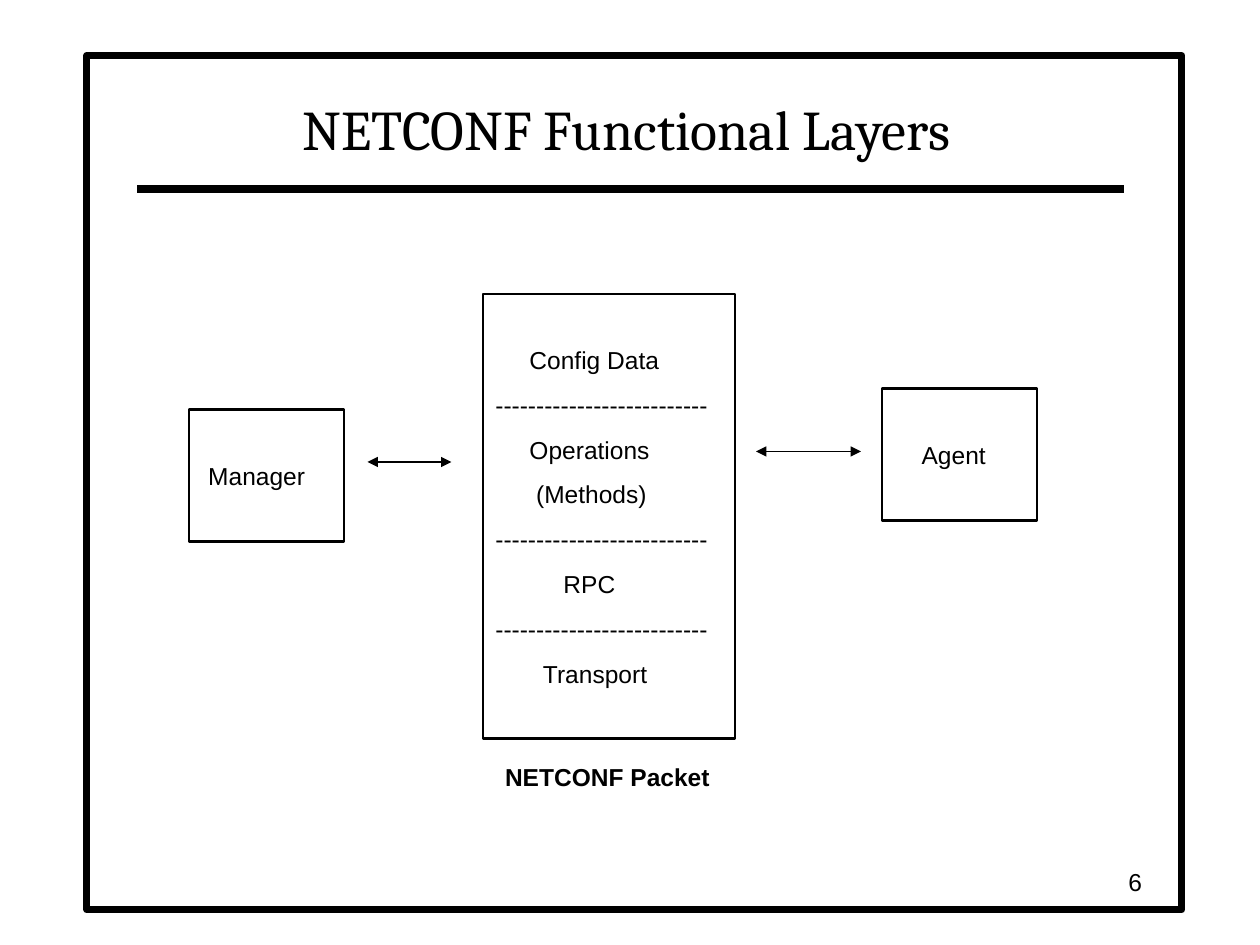
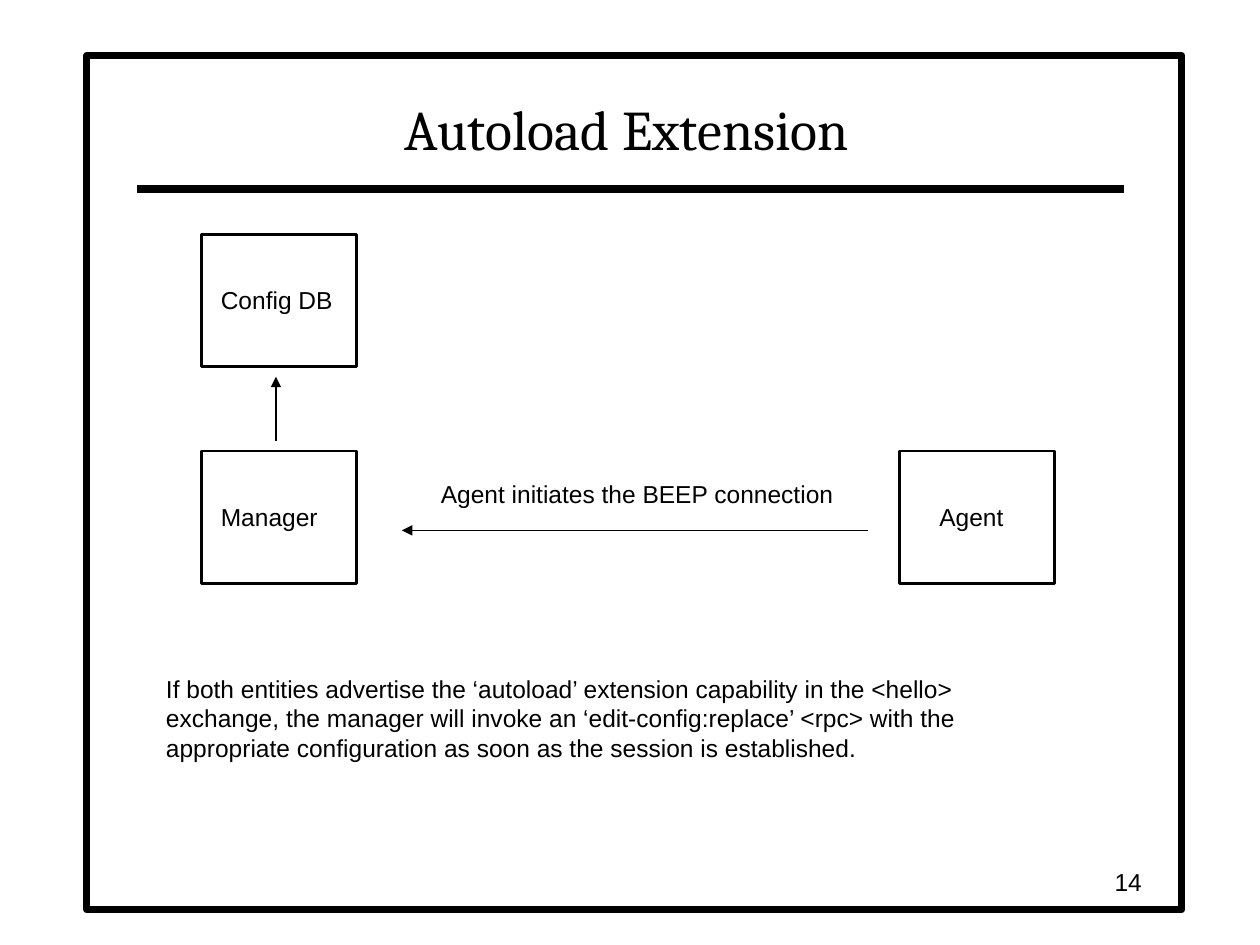
"""Build two slides on NETCONF layers and the autoload extension."""
from dataclasses import dataclass

from lxml import etree
from pptx import Presentation
from pptx.dml.color import RGBColor
from pptx.enum.shapes import MSO_CONNECTOR, MSO_SHAPE
from pptx.enum.text import MSO_ANCHOR, MSO_AUTO_SIZE, PP_ALIGN
from pptx.oxml.ns import qn
from pptx.util import Pt

STRAIGHT = MSO_CONNECTOR.STRAIGHT
RECTANGLE = MSO_SHAPE.RECTANGLE
TOP, MIDDLE, BOTTOM = MSO_ANCHOR.TOP, MSO_ANCHOR.MIDDLE, MSO_ANCHOR.BOTTOM
LEFT, CENTER, RIGHT = PP_ALIGN.LEFT, PP_ALIGN.CENTER, PP_ALIGN.RIGHT
NO_RESIZE = MSO_AUTO_SIZE.NONE

COLORS = {"ink": "000000", "paper": "FFFFFF"}
TITLE_FONT, BODY_FONT = "Cambria", "Arial"
TITLE_SIZE, BODY_SIZE = 32, 14
INSET_X, INSET_Y = 7.2, 3.6
BOX_INSET_TOP = 29.2
PARA_GAP = 8.8
BOX_WIDTH, BOX_HEIGHT = 88.6, 75.6
DASHES = "-" * 26


@dataclass(frozen=True)
class Line:
    """A line of text with its left indent."""
    text: str
    indent: float = 0


@dataclass(frozen=True)
class Box:
    """An outlined rectangle holding lines of text."""
    left: float
    top: float
    lines: tuple[Line, ...]
    width: float = BOX_WIDTH
    height: float = BOX_HEIGHT


@dataclass(frozen=True)
class Arrow:
    """A straight line with a head at its start and perhaps at its end."""
    start: tuple[float, float]
    end: tuple[float, float]
    both: bool = False


@dataclass(frozen=True)
class Label:
    """A free text box."""
    text: str
    left: float
    top: float
    width: float
    height: float
    bold: bool = False
    wrap: bool = False
    align: PP_ALIGN = LEFT
    anchor: MSO_ANCHOR = TOP


@dataclass(frozen=True)
class Page:
    """The content of one slide."""
    title: str
    number: str
    items: tuple[Box | Arrow | Label, ...]


def color(name: str) -> RGBColor:
    """Return a named colour."""
    return RGBColor.from_string(COLORS[name])


def add_span(para, text: str, font: str = BODY_FONT, size: float = BODY_SIZE,
             bold: bool = False) -> None:
    """Add one formatted run to a paragraph."""
    span = para.add_run()
    span.text = text
    span.font.name = font
    span.font.size = Pt(size)
    span.font.bold = bold
    span.font.color.rgb = color("ink")


def set_frame(frame, anchor: MSO_ANCHOR, top: float = INSET_Y, wrap: bool = True) -> None:
    """Set the insets, anchor and wrapping of a text frame."""
    frame.auto_size = NO_RESIZE
    frame.word_wrap = wrap
    frame.vertical_anchor = anchor
    frame.margin_left = frame.margin_right = Pt(INSET_X)
    frame.margin_top, frame.margin_bottom = Pt(top), Pt(INSET_Y)


def add_rectangle(slide, left: float, top: float, width: float, height: float,
                  weight: float):
    """Add an unfilled black outline."""
    shape = slide.shapes.add_shape(RECTANGLE, Pt(left), Pt(top), Pt(width), Pt(height))
    shape.shadow.inherit = False
    shape.fill.background()
    shape.line.color.rgb = color("ink")
    shape.line.width = Pt(weight)
    return shape


def add_line(slide, start: tuple[float, float], end: tuple[float, float], weight: float):
    """Add a straight black connector without a shadow."""
    line = slide.shapes.add_connector(STRAIGHT, *map(Pt, start + end))
    line.line.color.rgb = color("ink")
    line.line.width = Pt(weight)
    etree.SubElement(line.element.spPr, qn("a:effectLst"))
    return line


def add_box(slide, box: Box) -> None:
    """Draw a box with its indented lines."""
    frame = add_rectangle(slide, box.left, box.top, box.width, box.height, 1.5).text_frame
    set_frame(frame, TOP, top=BOX_INSET_TOP)
    for index, line in enumerate(box.lines):
        para = frame.add_paragraph() if index else frame.paragraphs[0]
        para.alignment = LEFT
        if index:
            para.space_before = Pt(PARA_GAP)
        para._p.get_or_add_pPr().set("marL", str(Pt(line.indent)))
        add_span(para, line.text)


def add_arrow(slide, arrow: Arrow) -> None:
    """Draw an arrow with triangular heads."""
    outline = add_line(slide, arrow.start, arrow.end, 1).line._get_or_add_ln()
    for tag in ("a:headEnd", "a:tailEnd")[:2 if arrow.both else 1]:
        etree.SubElement(outline, qn(tag), type="triangle")


def add_label(slide, label: Label) -> None:
    """Draw a free text box."""
    box = slide.shapes.add_textbox(Pt(label.left), Pt(label.top),
                                   Pt(label.width), Pt(label.height))
    set_frame(box.text_frame, label.anchor, wrap=label.wrap)
    para = box.text_frame.paragraphs[0]
    para.alignment = label.align
    add_span(para, label.text, bold=label.bold)


def add_page(deck, page: Page) -> None:
    """Add a slide with the shared frame, title, rule and number."""
    slide = deck.slides.add_slide(deck.slide_layouts.get_by_name("Title Only"))
    title = slide.shapes.title
    border = add_rectangle(slide, 49.7, 31.7, 625.7, 488.2, 4)
    border.fill.solid()
    border.fill.fore_color.rgb = color("paper")
    rule = add_line(slide, (78.5, 108), (642.2, 108), 4.5)
    for backdrop in (border, rule):
        title.element.addprevious(backdrop.element)

    title.left, title.top, title.width, title.height = map(Pt, (77.8, 41.8, 560.9, 54))
    set_frame(title.text_frame, BOTTOM)
    para = title.text_frame.paragraphs[0]
    para.alignment = CENTER
    add_span(para, page.title, TITLE_FONT, TITLE_SIZE)

    draw = {Box: add_box, Arrow: add_arrow, Label: add_label}
    for item in page.items:
        draw[type(item)](slide, item)
    add_label(slide, Label(page.number, 509.8, 491.8, 149.8, 23.8,
                           wrap=True, align=RIGHT, anchor=MIDDLE))


MANAGER = (Line("Manager", 3.9),)
AGENT = (Line("Agent", 15.6),)
CONFIG_DB = (Line("Config DB", 3.9),)
PACKET = (
    Line("Config Data", 19.5),
    Line(DASHES),
    Line("Operations", 19.5),
    Line("(Methods)", 23.3),
    Line(DASHES),
    Line("RPC", 38.9),
    Line(DASHES),
    Line("Transport", 27.2),
)
AUTOLOAD_NOTE = (
    "If both entities advertise the ‘autoload’ extension capability in the <hello> "
    "exchange, the manager will invoke an ‘edit-config:replace’ <rpc> with the "
    "appropriate configuration as soon as the session is established."
)

PAGES = (
    Page("NETCONF Functional Layers", "6", (
        Box(108, 234, MANAGER),
        Box(504, 222, AGENT),
        Box(276, 168, PACKET, 144, 254.2),
        Arrow((210, 264), (258, 264), both=True),
        Arrow((432, 258), (492, 258), both=True),
        Label("NETCONF Packet", 281.5, 432, 131, 24.5, bold=True),
    )),
    Page("Autoload Extension", "14", (
        Box(115.2, 257.8, MANAGER),
        Box(514.1, 257.8, AGENT),
        Arrow((229.7, 303.1), (496.1, 303.1)),
        Label("Agent initiates the BEEP connection", 244.8, 270, 239, 24.5),
        Label(AUTOLOAD_NOTE, 87.8, 381.6, 511.2, 57.6, wrap=True),
        Box(115.2, 133.9, CONFIG_DB),
        Arrow((157.7, 215.3), (157.7, 252)),
    )),
)


def main() -> None:
    """Build and save the deck."""
    deck = Presentation()
    deck.slide_width, deck.slide_height = Pt(720), Pt(540)
    for page in PAGES:
        add_page(deck, page)
    deck.save("out.pptx")


if __name__ == "__main__":
    main()
